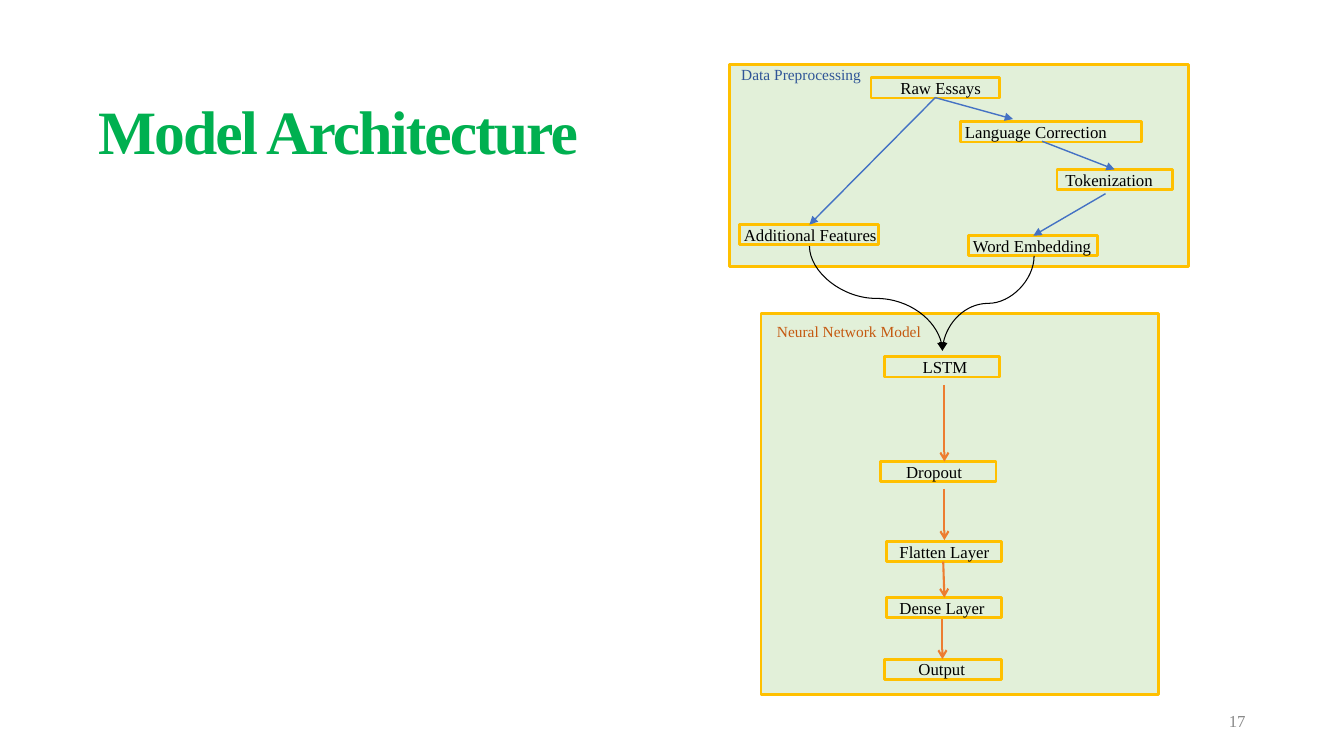
from dataclasses import dataclass

from lxml import etree
from pptx import Presentation
from pptx import util as u
from pptx.dml.color import RGBColor
from pptx.enum import shapes, text
from pptx.oxml.ns import qn

FONT = "Times New Roman"
PANEL_FILL, PANEL_LINE = "E2F0D9", "FFC000"
BLUE, ORANGE, BLACK = "4472C4", "ED7D31", "000000"
BOX_HEIGHT = 0.51


@dataclass
class Box:
    left: float
    top: float
    width: float
    height: float = BOX_HEIGHT
    label: str = ""
    indent: float = 0
    color: str = BLACK
    size: float = 12


@dataclass
class Arrow:
    x1: float
    y1: float
    x2: float
    y2: float
    color: str
    weight: float
    head: str = "triangle"


PANELS = [
    Box(18.39, 1.63, 11.56, 5.08, "Data Preprocessing", 8.25, "2F5597", 11),
    Box(19.18, 7.9, 10.01, 9.6),
]
STEPS = [
    Box(21.95, 1.96, 3.25, label="Raw Essays", indent=21),
    Box(24.21, 3.07, 4.55, label="Language Correction", indent=3),
    Box(26.64, 4.27, 2.9, label="Tokenization", indent=6),
    Box(18.64, 5.66, 3.51, label="Additional Features", indent=3),
    Box(24.41, 5.94, 3.25, label="Word Embedding", indent=3),
    Box(22.3, 8.99, 2.9, label="LSTM", indent=27),
    Box(22.2, 11.63, 2.9, label="Dropout", indent=18),
    Box(22.35, 13.64, 2.9, label="Flatten Layer", indent=9),
    Box(22.35, 15.06, 2.9, label="Dense Layer", indent=9),
    Box(22.3, 16.61, 2.95, label="Output", indent=24),
]
STRAIGHT_ARROWS = [
    Arrow(23.57, 2.46, 25.53, 3.0, BLUE, 1),
    Arrow(23.57, 2.46, 20.4, 5.66, BLUE, 1),
    Arrow(26.26, 3.56, 28.09, 4.27, BLUE, 1),
    Arrow(27.86, 4.88, 26.04, 5.94, BLUE, 1),
    Arrow(23.8, 9.7, 23.8, 11.63, ORANGE, 1.5, "arrow"),
    Arrow(23.8, 12.32, 23.8, 13.61, ORANGE, 1.5, "arrow"),
    Arrow(23.77, 14.15, 23.8, 15.06, ORANGE, 1.5, "arrow"),
    Arrow(23.75, 15.6, 23.75, 16.61, ORANGE, 1.5, "arrow"),
]
CURVED_ARROWS = [
    Arrow(20.4, 6.2, 23.75, 8.84, BLACK, 0.75),
    Arrow(26.06, 6.45, 23.75, 8.84, BLACK, 0.75),
]
NETWORK_LABEL = Box(19.58, 8.13, 4.22, 0.48, "Neural Network Model", 0, "C55A11", 11)
PAGE_NUMBER = Box(30.81, 17.83, 0.71, 0.69, "17", 0, "888888")


def paint(target, color: str) -> None:
    target.rgb = RGBColor.from_string(color)


def apply(target, values: dict) -> None:
    for name, value in values.items():
        setattr(target, name, value)


def place(box: Box) -> list:
    return [u.Cm(value) for value in (box.left, box.top, box.width, box.height)]


def write(shape, box: Box, align=text.PP_ALIGN.LEFT, anchor=text.MSO_ANCHOR.TOP,
          wrap: bool = True, margin: float = 0, bold: bool = False):
    frame = shape.text_frame
    inset = u.Cm(margin)
    apply(frame, {"word_wrap": wrap, "vertical_anchor": anchor,
                  "margin_left": inset + u.Pt(box.indent), "margin_right": inset,
                  "margin_top": inset, "margin_bottom": inset})
    para = frame.paragraphs[0]
    para.alignment = align
    span = para.add_run()
    span.text = box.label
    apply(span.font, {"name": FONT, "size": u.Pt(box.size), "bold": bold})
    paint(span.font.color, box.color)
    return para, span


def draw_box(page, box: Box) -> None:
    shape = page.shapes.add_shape(shapes.MSO_SHAPE.RECTANGLE, *place(box))
    shape.shadow.inherit = False
    shape.fill.solid()
    paint(shape.fill.fore_color, PANEL_FILL)
    paint(shape.line.color, PANEL_LINE)
    shape.line.width = u.Pt(2)
    if box.label:
        write(shape, box)


def draw_arrow(page, arrow: Arrow, kind=shapes.MSO_CONNECTOR.STRAIGHT):
    ends = [u.Cm(value) for value in (arrow.x1, arrow.y1, arrow.x2, arrow.y2)]
    connector = page.shapes.add_connector(kind, *ends)
    paint(connector.line.color, arrow.color)
    connector.line.width = u.Pt(arrow.weight)
    properties = connector._element.spPr
    line = properties.find(qn("a:ln"))
    etree.SubElement(line, qn("a:tailEnd"), type=arrow.head)
    etree.SubElement(properties, qn("a:effectLst"))
    return connector


def draw_curve(page, arrow: Arrow) -> None:
    center_x, center_y = (arrow.x1 + arrow.x2) / 2, (arrow.y1 + arrow.y2) / 2
    half_width = (arrow.y2 - arrow.y1) / 2
    half_height = abs(arrow.x2 - arrow.x1) / 2
    rightward = arrow.x2 > arrow.x1
    side = half_width if rightward else -half_width
    turned = Arrow(center_x + side, center_y - half_height,
                   center_x - side, center_y + half_height,
                   arrow.color, arrow.weight, arrow.head)
    connector = draw_arrow(page, turned, shapes.MSO_CONNECTOR.CURVE)
    degrees = 270 if rightward else 90
    connector._element.spPr.find(qn("a:xfrm")).set("rot", str(degrees * 60000))


def draw_title(page) -> None:
    box = Box(2.34, 1.02, 27.79, 4.83, "Model Architecture", 0, "00B050", 44)
    title = page.shapes.title
    apply(title, dict(zip(("left", "top", "width", "height"), place(box))))
    para, span = write(title, box, anchor=text.MSO_ANCHOR.MIDDLE, margin=0.13, bold=True)
    para.line_spacing = 0.8
    span.font._element.set("spc", "-140")


def main() -> None:
    deck = Presentation()
    apply(deck, {"slide_width": u.Cm(33.87), "slide_height": u.Cm(19.05)})
    page = deck.slides.add_slide(deck.slide_layouts[5])
    draw_title(page)
    for box in PANELS + STEPS:
        draw_box(page, box)
    for arrow in STRAIGHT_ARROWS:
        draw_arrow(page, arrow)
    for arrow in CURVED_ARROWS:
        draw_curve(page, arrow)
    write(page.shapes.add_textbox(*place(NETWORK_LABEL)), NETWORK_LABEL)
    write(page.shapes.add_textbox(*place(PAGE_NUMBER)), PAGE_NUMBER,
          text.PP_ALIGN.RIGHT, text.MSO_ANCHOR.MIDDLE, wrap=False, margin=0.13)
    deck.save("out.pptx")


if __name__ == "__main__":
    main()
